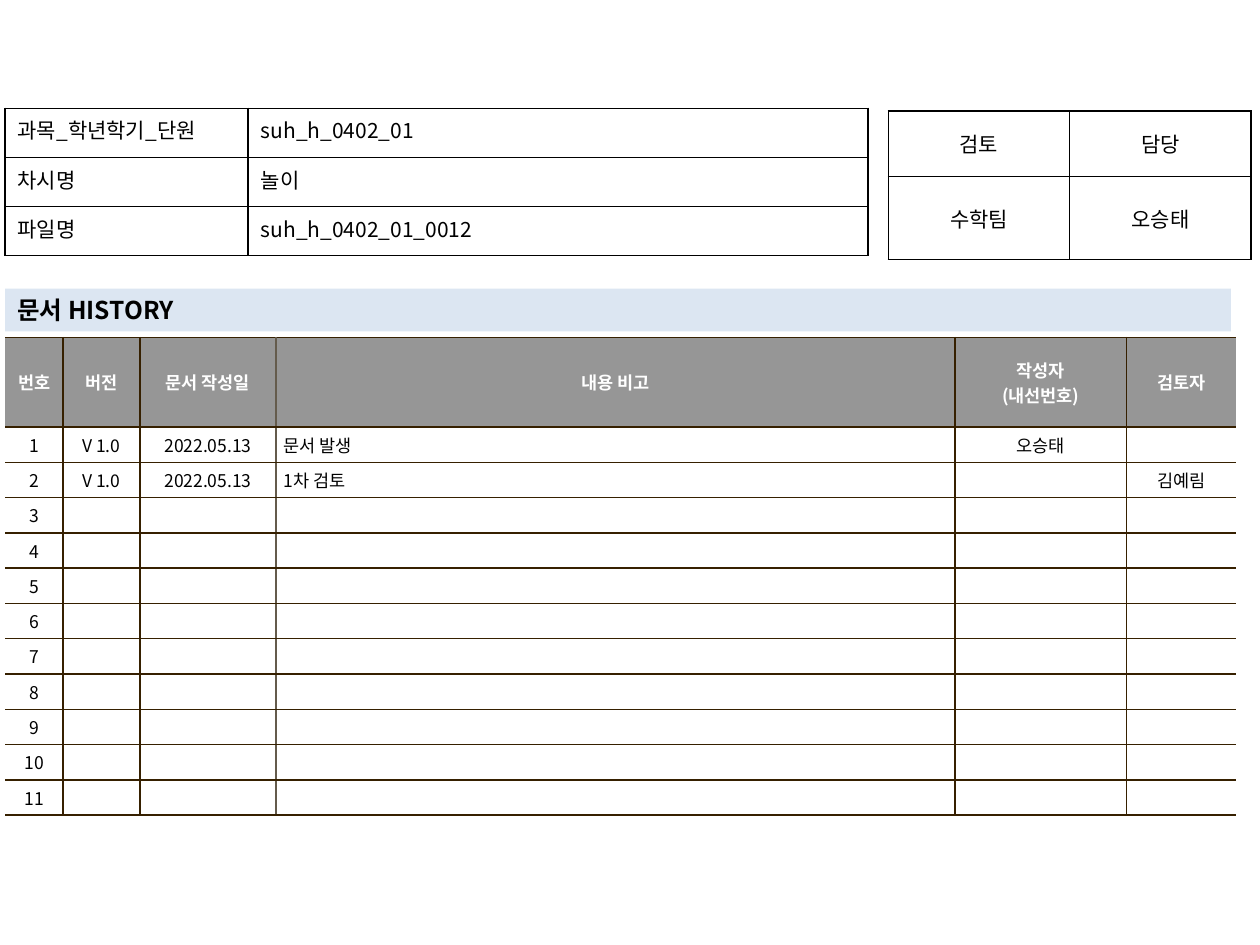
from lxml.etree import SubElement
from pptx import Presentation
from pptx.dml.color import RGBColor
from pptx.enum.shapes import MSO_SHAPE
from pptx.enum.text import MSO_ANCHOR, PP_ALIGN
from pptx.oxml.ns import qn
from pptx.util import Inches, Pt

FONT = "Noto Sans CJK KR"
BLACK = RGBColor(0x00, 0x00, 0x00)
WHITE = RGBColor(0xFF, 0xFF, 0xFF)
GRAY = RGBColor(0x96, 0x96, 0x96)
PALE_BLUE = RGBColor(0xDC, 0xE6, 0xF2)
BROWN = RGBColor(0x36, 0x20, 0x00)
TAUPE = RGBColor(0x64, 0x5B, 0x4C)

LEFT = 0.04
TITLE = "문서 HISTORY"
FILE_INFO = [
    ("과목_학년학기_단원", "suh_h_0402_01"),
    ("차시명", "놀이"),
    ("파일명", "suh_h_0402_01_0012"),
]
APPROVAL = [("검토", "담당"), ("수학팀", "오승태")]
HISTORY_HEADER = ("번호", "버전", "문서 작성일", "내용 비고", "작성자\n(내선번호)", "검토자")
HISTORY_ENTRIES = [
    ("V 1.0", "2022.05.13", "문서 발생", "오승태", ""),
    ("V 1.0", "2022.05.13", "1차 검토", "", "김예림"),
]
HISTORY_ROWS = 11
NOTE_COLUMN = 3

INFO_FORMAT = {"size": Pt(12), "bold": False, "name": FONT}
ENTRY_FORMAT = {"size": Pt(10), "bold": False, "name": FONT}
HEADER_FORMAT = {"size": Pt(10), "bold": True, "name": FONT}
TITLE_FORMAT = {"size": Pt(14), "bold": True, "name": FONT}


def write_text(frame, text, formats, color, align):
    frame.text = text
    for paragraph in frame.paragraphs:
        paragraph.alignment = align
        for run in paragraph.runs:
            for name, value in formats.items():
                setattr(run.font, name, value)
            run.font.color.rgb = color
            SubElement(run.font._element, qn("a:ea"), typeface=FONT)
        if not paragraph.runs:
            # An empty cell would otherwise take the default size and stretch its row.
            SubElement(paragraph._p, qn("a:endParaRPr"), sz=str(int(formats["size"].pt * 100)))


def set_borders(cell, colors):
    """Draw left, right, top and bottom edges; None leaves an edge open."""
    properties = cell._tc.get_or_add_tcPr()
    for side, color in zip("LRTB", colors):
        line = SubElement(properties, qn(f"a:ln{side}"), w=str(Pt(1)))
        if color is None:
            SubElement(line, qn("a:noFill"))
        else:
            fill = SubElement(line, qn("a:solidFill"))
            SubElement(fill, qn("a:srgbClr"), val=str(color))


def add_table(slide, left, top, widths, heights, rows, style_cell):
    """style_cell(row, column) gives formats, color, align, anchor, margins, borders and fill."""
    frame = slide.shapes.add_table(
        len(heights), len(widths), Inches(left), Inches(top),
        Inches(sum(widths)), Inches(sum(heights)))
    table = frame.table
    table.first_row = table.horz_banding = False
    for column, width in zip(table.columns, widths):
        column.width = Inches(width)
    for row, height in zip(table.rows, heights):
        row.height = Inches(height)
    for row, texts in enumerate(rows):
        for column, text in enumerate(texts):
            cell = table.cell(row, column)
            formats, color, align, anchor, margins, borders, fill = style_cell(row, column)
            write_text(cell.text_frame, text, formats, color, align)
            cell.vertical_anchor = anchor
            cell.margin_left = cell.margin_right = Inches(margins[0])
            cell.margin_top = cell.margin_bottom = Inches(margins[1])
            set_borders(cell, borders)
            if fill is None:
                cell.fill.background()
            else:
                cell.fill.solid()
                cell.fill.fore_color.rgb = fill


def history_style(row, column):
    last = len(HISTORY_HEADER) - 1
    left = {0: None, NOTE_COLUMN: TAUPE}.get(column, BROWN)
    right = {last: None, NOTE_COLUMN - 1: TAUPE}.get(column, BROWN)
    header = row == 0
    align = PP_ALIGN.LEFT if column == NOTE_COLUMN and not header else PP_ALIGN.CENTER
    return (HEADER_FORMAT if header else ENTRY_FORMAT, WHITE if header else BLACK, align,
            MSO_ANCHOR.MIDDLE, (0.06, 0.04), (left, right, BROWN, BROWN),
            GRAY if header else WHITE)


def approval_style(row, column):
    return (INFO_FORMAT, BLACK, PP_ALIGN.CENTER, MSO_ANCHOR.MIDDLE,
            (0.1, 0.05), (BLACK,) * 4, None)


def file_info_style(row, column):
    align = PP_ALIGN.JUSTIFY if column == 0 else PP_ALIGN.LEFT
    return INFO_FORMAT, BLACK, align, MSO_ANCHOR.TOP, (0.1, 0.05), (BLACK,) * 4, None


def add_title_bar(slide):
    bar = slide.shapes.add_shape(
        MSO_SHAPE.RECTANGLE, Inches(LEFT), Inches(2.29), Inches(9.73), Inches(0.34))
    bar.shadow.inherit = False
    bar.fill.solid()
    bar.fill.fore_color.rgb = PALE_BLUE
    bar.line.fill.background()
    bar.text_frame.word_wrap = True
    bar.text_frame.vertical_anchor = MSO_ANCHOR.MIDDLE
    write_text(bar.text_frame, TITLE, TITLE_FORMAT, BLACK, PP_ALIGN.LEFT)


def main():
    presentation = Presentation()
    presentation.slide_width = Inches(10)
    presentation.slide_height = Inches(7.5)
    slide = presentation.slides.add_slide(presentation.slide_layouts[6])

    blank_entry = ("",) * (len(HISTORY_HEADER) - 1)
    entries = HISTORY_ENTRIES + [blank_entry] * (HISTORY_ROWS - len(HISTORY_ENTRIES))
    history = [HISTORY_HEADER]
    history += [(str(number), *entry) for number, entry in enumerate(entries, 1)]

    add_table(slide, LEFT, 2.68, [0.46, 0.61, 1.08, 5.39, 1.36, 0.87],
              [0.71] + [0.28] * HISTORY_ROWS, history, history_style)
    add_table(slide, 7.05, 0.88, [1.44] * 2, [0.52, 0.66], APPROVAL, approval_style)
    add_title_bar(slide)
    add_table(slide, LEFT, 0.86, [1.93, 4.92], [0.39] * 3, FILE_INFO, file_info_style)

    presentation.save("out.pptx")


if __name__ == "__main__":
    main()
